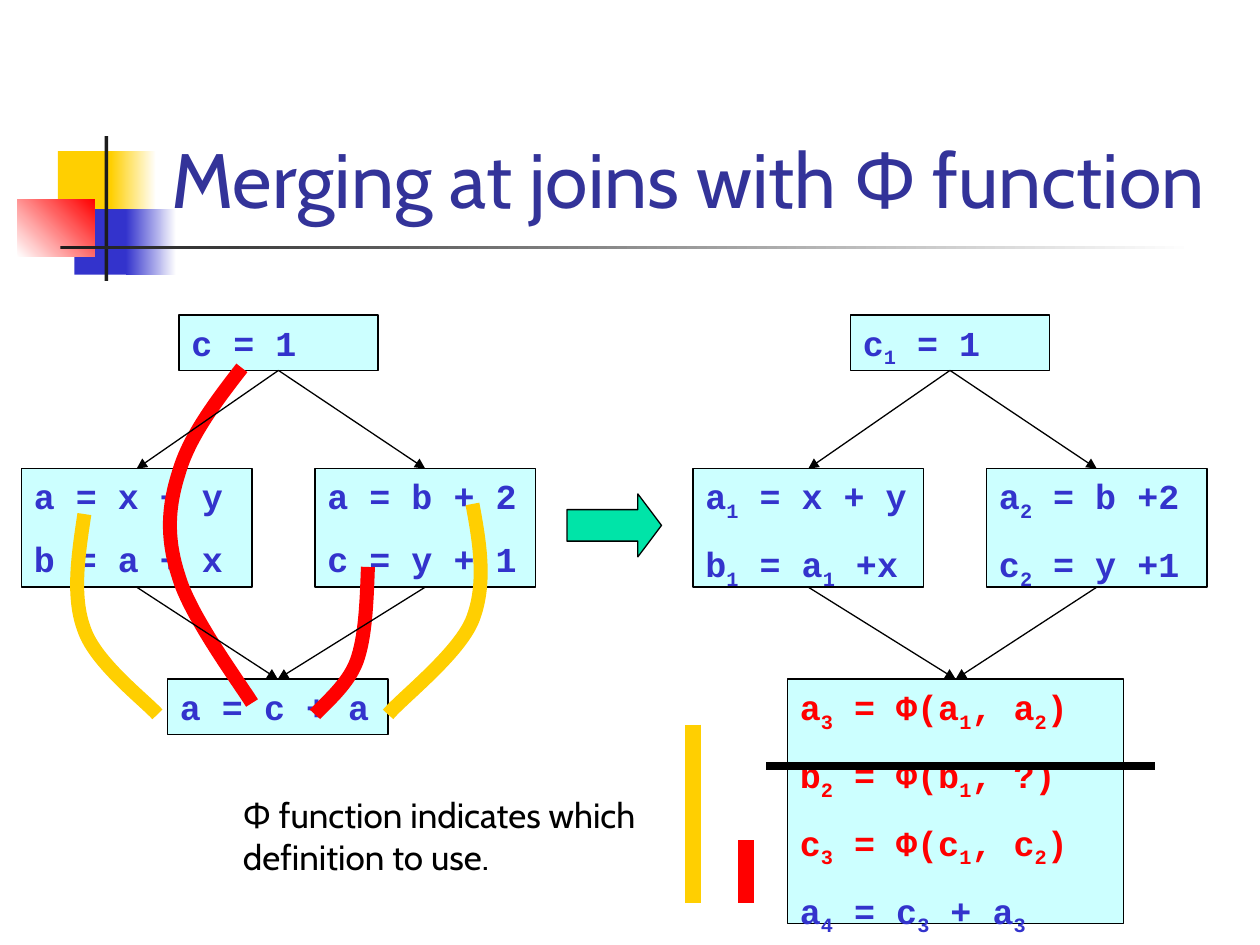
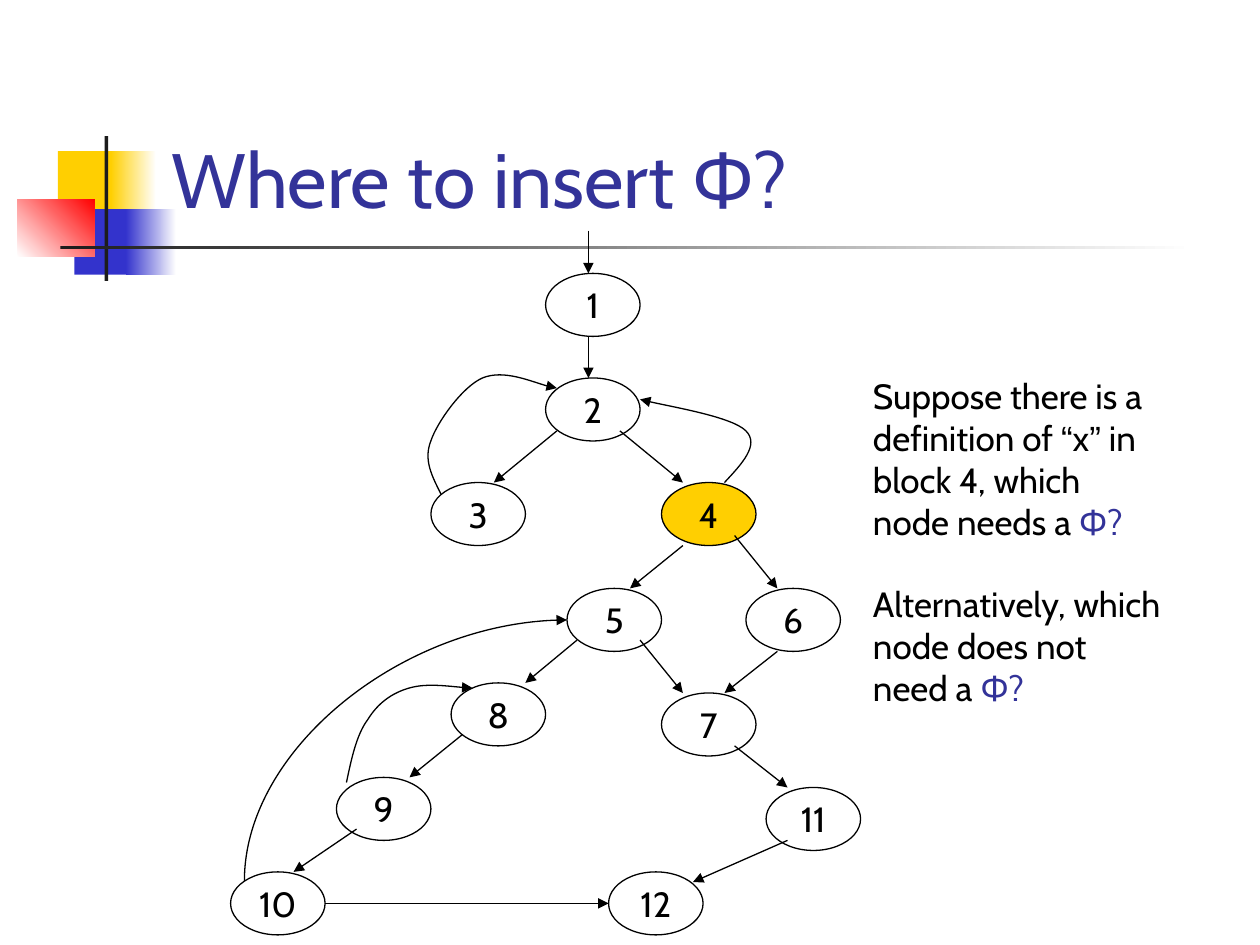
from lxml import etree
from pptx import Presentation
from pptx.dml.color import RGBColor
from pptx.enum.shapes import MSO_CONNECTOR, MSO_SHAPE
from pptx.enum.text import MSO_ANCHOR, PP_ALIGN
from pptx.oxml.ns import qn
from pptx.util import Inches, Pt

RECTANGLE, OVAL, RIGHT_ARROW = MSO_SHAPE.RECTANGLE, MSO_SHAPE.OVAL, MSO_SHAPE.RIGHT_ARROW
STRAIGHT, CURVE = MSO_CONNECTOR.STRAIGHT, MSO_CONNECTOR.CURVE
TOP, MIDDLE, BOTTOM = MSO_ANCHOR.TOP, MSO_ANCHOR.MIDDLE, MSO_ANCHOR.BOTTOM
LEFT, CENTER = PP_ALIGN.LEFT, PP_ALIGN.CENTER

COLORS = {
    "black": "000000", "white": "FFFFFF", "ink": "1C1C1C", "yellow": "FFCF01",
    "blue": "3333CC", "red": "FF0000", "title": "333399", "block": "CCFFFF",
    "arrow": "00E4A8",
}
BODY_FONT, CODE_FONT, QUOTE_FONT = "Cabin", "Courier New", "Arial"
BLOCK_HEIGHT, PAIR_HEIGHT = 0.44, 0.94
NODE_WIDTH, NODE_HEIGHT = 0.75, 0.5
TITLE_ONLY = 5

DECORATION = [
    (0.46, 1.2, 0.48, 0.52, "yellow", None, 0),
    (0.88, 1.2, 0.36, 0.52, "yellow", "white", 0),
    (0.59, 1.66, 0.46, 0.52, "blue", None, 0),
    (1, 1.66, 0.4, 0.52, "blue", "white", 0),
    (0.14, 1.58, 0.61, 0.46, "white", "red", 45),
    (0.83, 1.08, 0.03, 1.15, "ink", None, 0),
    (0.48, 1.95, 9, 0.03, "ink", "white", 0),
]

DEFINITION_CURVES = [
    ("yellow", [(0.5, 1.58), (0.45, 1.91), (0.4, 2.24), (0.5, 2.5),
                (0.59, 2.76), (0.98, 3.06), (1.08, 3.17)]),
    ("red", [(1.75, 0.42), (1.54, 0.69), (1.33, 0.97), (1.25, 1.25), (1.16, 1.53),
             (1.15, 1.78), (1.25, 2.08), (1.34, 2.39), (1.73, 2.92), (1.83, 3.08)]),
    ("yellow", [(3.58, 1.5), (3.64, 1.82), (3.69, 2.14), (3.58, 2.42),
                (3.47, 2.69), (3.02, 3.04), (2.91, 3.17)]),
    ("red", [(2.75, 2), (2.74, 2.28), (2.73, 2.56), (2.66, 2.75),
             (2.59, 2.94), (2.39, 3.1), (2.33, 3.17)]),
]

NODES = {
    1: (2.5, 0), 2: (2.5, 0.83), 3: (1.59, 1.66), 4: (3.42, 1.66),
    5: (2.67, 2.5), 6: (4.09, 2.5), 7: (3.42, 3.33), 8: (1.75, 3.25),
    9: (0.84, 4), 10: (0, 4.75), 11: (4.25, 4.08), 12: (3, 4.75),
}
EDGES = [
    (1, (0.34, -0.34), 1, (0.34, 0)),
    (1, (0.34, 0.5), 2, (0.34, 0)),
    (2, (0.09, 0.42), 3, (0.5, 0)),
    (2, (0.59, 0.42), 4, (0.17, 0)),
    (4, (0.17, 0.5), 5, (0.5, 0)),
    (4, (0.58, 0.42), 6, (0.25, 0)),
    (5, (0.08, 0.41), 8, (0.59, 0)),
    (5, (0.58, 0.41), 7, (0.17, 0)),
    (6, (0.25, 0.5), 7, (0.5, 0)),
    (7, (0.58, 0.42), 11, (0.17, 0)),
    (8, (0.09, 0.41), 9, (0.58, 0)),
    (9, (0.16, 0.41), 10, (0.5, 0)),
    (10, (0.75, 0.25), 12, (0, 0.25)),
    (11, (0.17, 0.42), 12, (0.67, 0.08)),
]
BACK_EDGES = [
    [(3.92, 1.66), (4.06, 1.51), (4.2, 1.36), (4.09, 1.25),
     (3.98, 1.14), (3.39, 1.04), (3.25, 1)],
    [(1.67, 1.75), (1.6, 1.61), (1.53, 1.48), (1.59, 1.33), (1.64, 1.18),
     (1.84, 0.9), (2, 0.83), (2.17, 0.76), (2.49, 0.9), (2.59, 0.91)],
    [(0.92, 4.04), (0.96, 3.85), (1, 3.66), (1.09, 3.54), (1.17, 3.41),
     (1.28, 3.33), (1.42, 3.29), (1.56, 3.25), (1.84, 3.29), (1.92, 3.29)],
]


def rgb(name):
    return RGBColor.from_string(COLORS[name])


def write_text(frame, paragraphs, size=20, font=BODY_FONT, color="black", bold=False,
               align=LEFT, anchor=TOP, wrap=True, gap=11.5):
    frame.word_wrap = wrap
    frame.vertical_anchor = anchor
    for index, runs in enumerate(paragraphs):
        paragraph = frame.paragraphs[0] if index == 0 else frame.add_paragraph()
        paragraph.alignment = align
        paragraph.space_before = Pt(gap if index else 0)
        for text, changes in runs:
            run = paragraph.add_run()
            run.text = text
            run.font.size = Pt(size)
            run.font.bold = bold
            run.font.name = changes.get("font", font)
            run.font.color.rgb = rgb(changes.get("color", color))
            if changes.get("subscript"):
                run._r.get_or_add_rPr().set("baseline", "-25000")


def code_runs(line, color="blue"):
    first, *rest = line.split("_")
    runs = [(first, {"color": color})]
    for piece in rest:
        runs.append((piece[0], {"color": color, "subscript": True}))
        if piece[1:]:
            runs.append((piece[1:], {"color": color}))
    return runs


def add_box(slide, kind, left, top, width, height, fill=None, line="black"):
    shape = slide.shapes.add_shape(kind, Inches(left), Inches(top), Inches(width), Inches(height))
    shape.shadow.inherit = False
    if fill:
        shape.fill.solid()
        shape.fill.fore_color.rgb = rgb(fill)
    else:
        shape.fill.background()
    if line:
        shape.line.color.rgb = rgb(line)
        shape.line.width = Pt(0.75)
    else:
        shape.line.fill.background()
    return shape


def add_caption(slide, left, top, width, height, runs):
    caption = slide.shapes.add_textbox(Inches(left), Inches(top), Inches(width), Inches(height))
    write_text(caption.text_frame, [runs])


def style_line(shape, color, width, arrow):
    shape.line.color.rgb = rgb(color)
    shape.line.width = Pt(width)
    if arrow:
        etree.SubElement(shape.line._get_or_add_ln(), qn("a:tailEnd"), type="triangle")


def add_line(slide, start, end, color="black", width=0.75, arrow=False, kind=STRAIGHT):
    connector = slide.shapes.add_connector(kind, *(Inches(value) for value in (*start, *end)))
    style_line(connector, color, width, arrow)
    etree.SubElement(connector.element.spPr, qn("a:effectLst"))
    return connector


def add_quarter_curve(slide, start, end):
    width, height = start[1] - end[1], end[0] - start[0]
    left = (start[0] + end[0] - width) / 2
    top = (start[1] + end[1] - height) / 2
    connector = add_line(slide, (left, top), (left + width, top + height), arrow=True, kind=CURVE)
    properties = connector.element.spPr
    properties.find(qn("a:prstGeom")).set("prst", "curvedConnector2")
    properties.find(qn("a:xfrm")).set("rot", str(270 * 60000))


def add_curve(slide, left, top, points, color="black", width=0.75, arrow=False):
    placed = [(Inches(left + x), Inches(top + y)) for x, y in points]
    builder = slide.shapes.build_freeform(*placed[0], scale=1.0)
    builder.add_line_segments(placed[1:], close=False)
    shape = builder.convert_to_shape()
    shape.shadow.inherit = False
    shape.fill.background()
    style_line(shape, color, width, arrow)
    segments = list(shape.element.iter(qn("a:lnTo")))
    outline = segments[0].getparent()
    for index in range(0, len(segments), 3):
        bezier = etree.SubElement(outline, qn("a:cubicBezTo"))
        for segment in segments[index:index + 3]:
            bezier.append(segment[0])
            outline.remove(segment)


def decorate_layout(layout, slide):
    for index, (left, top, width, height, color, fade, angle) in enumerate(DECORATION):
        shape = add_box(slide, RECTANGLE, left, top, width, height, fill=color, line=None)
        if fade:
            shape.fill.gradient()
            shape.fill.gradient_angle = angle
            for stop, name in zip(shape.fill.gradient_stops, (color, fade)):
                stop.color.rgb = rgb(name)
        shape.element.nvSpPr.cNvPr.set("id", str(100 + index))
        layout.shapes.element.append(shape.element)


def add_titled_slide(presentation, title):
    slide = presentation.slides.add_slide(presentation.slide_layouts[TITLE_ONLY])
    placeholder = slide.shapes.title
    placeholder.left, placeholder.top = Inches(1.26), Inches(0.23)
    placeholder.width, placeholder.height = Inches(8.52), Inches(1.6)
    write_text(placeholder.text_frame, [[(title, {})]], size=44, color="title", anchor=BOTTOM)
    return slide


def add_block(slide, left, top, width, height, lines):
    block = add_box(slide, RECTANGLE, left, top, width, height, fill="block")
    write_text(block.text_frame, lines, font=CODE_FONT, bold=True)
    return block


def add_diamond(slide, left, top, entry, branches, join, join_box):
    join_left, join_width, join_height = join_box
    return [
        add_block(slide, left + 1.25, top, 1.58, BLOCK_HEIGHT, entry),
        add_block(slide, left, top + 1.22, 1.83, PAIR_HEIGHT, branches[0]),
        add_block(slide, left + 2.33, top + 1.22, 1.75, PAIR_HEIGHT, branches[1]),
        add_block(slide, left + join_left, top + 2.89, join_width, join_height, join),
    ]


def link_diamond(slide, blocks):
    entry, first, second, join = blocks
    for source, target in ((entry, first), (entry, second), (first, join), (second, join)):
        connector = add_line(slide, (0, 0), (1, 1), arrow=True)
        connector.begin_connect(source, 2)
        connector.end_connect(target, 0)


def add_flow_graph(slide, left, top):
    for number, (x, y) in NODES.items():
        node = add_box(slide, OVAL, left + x, top + y, NODE_WIDTH, NODE_HEIGHT,
                       fill="yellow" if number == 4 else None)
        write_text(node.text_frame, [[(str(number), {})]], align=CENTER, anchor=MIDDLE, wrap=False)

    def at(number, offset):
        x, y = NODES[number]
        return left + x + offset[0], top + y + offset[1]

    for source, start, target, end in EDGES:
        add_line(slide, at(source, start), at(target, end), arrow=True)
    for points in BACK_EDGES:
        add_curve(slide, left, top, points, arrow=True)
    add_quarter_curve(slide, at(10, (0.11, 0.07)), at(5, (0, 0.25)))


def build_merging_slide(slide):
    plain = add_diamond(
        slide, 0.17, 2.5, [code_runs("c = 1")],
        [[code_runs("a = x + y"), code_runs("b = a + x")],
         [code_runs("a = b + 2"), code_runs("c = y + 1")]],
        [code_runs("a = c + a")], (1.16, 1.75, BLOCK_HEIGHT))
    arrow = add_box(slide, RIGHT_ARROW, 4.5, 3.92, 0.75, 0.5, fill="arrow")
    arrow.adjustments[0], arrow.adjustments[1] = 0.5, 0.375
    numbered = add_diamond(
        slide, 5.5, 2.5, [code_runs("c_1 = 1")],
        [[code_runs("a_1 = x + y"), code_runs("b_1 = a_1 +x")],
         [code_runs("a_2 = b +2"), code_runs("c_2 = y +1")]],
        [code_runs("a_3 = Φ(a_1, a_2)", "red"), code_runs("b_2 = Φ(b_1, ?)", "red"),
         code_runs("c_3 = Φ(c_1, c_2)", "red"), code_runs("a_4 = c_3 + a_3")],
        (0.75, 2.67, 1.94))
    add_caption(slide, 1.83, 6.25, 4, 0.77,
                [("Φ function indicates which definition to use.", {})])
    add_line(slide, (6.08, 6.08), (9.17, 6.08), width=5)
    for color, points in DEFINITION_CURVES:
        add_curve(slide, 0.17, 2.5, points, color=color, width=8)
    add_line(slide, (5.92, 6.67), (5.92, 7.17), color="red", width=9)
    add_line(slide, (5.5, 5.75), (5.5, 7.17), color="yellow", width=9)
    link_diamond(slide, plain)
    link_diamond(slide, numbered)


def build_insertion_slide(slide):
    add_flow_graph(slide, 1.83, 2.17)
    question = ("Φ?", {"color": "title"})
    add_caption(slide, 6.83, 2.92, 2.5, 1.43, [
        ("Suppose there is a definition of ", {}), ("“", {"font": QUOTE_FONT}), ("x", {}),
        ("”", {"font": QUOTE_FONT}), (" in block 4, which node needs a ", {}), question])
    add_caption(slide, 6.83, 4.57, 2.5, 1.1,
                [("Alternatively, which node does not need a ", {}), question])


def main():
    presentation = Presentation()
    presentation.slide_width, presentation.slide_height = Inches(10), Inches(7.5)
    merging = add_titled_slide(presentation, "Merging at joins with Φ function")
    decorate_layout(presentation.slide_layouts[TITLE_ONLY], merging)
    build_merging_slide(merging)
    build_insertion_slide(add_titled_slide(presentation, "Where to insert Φ?"))
    presentation.save("out.pptx")


if __name__ == "__main__":
    main()
